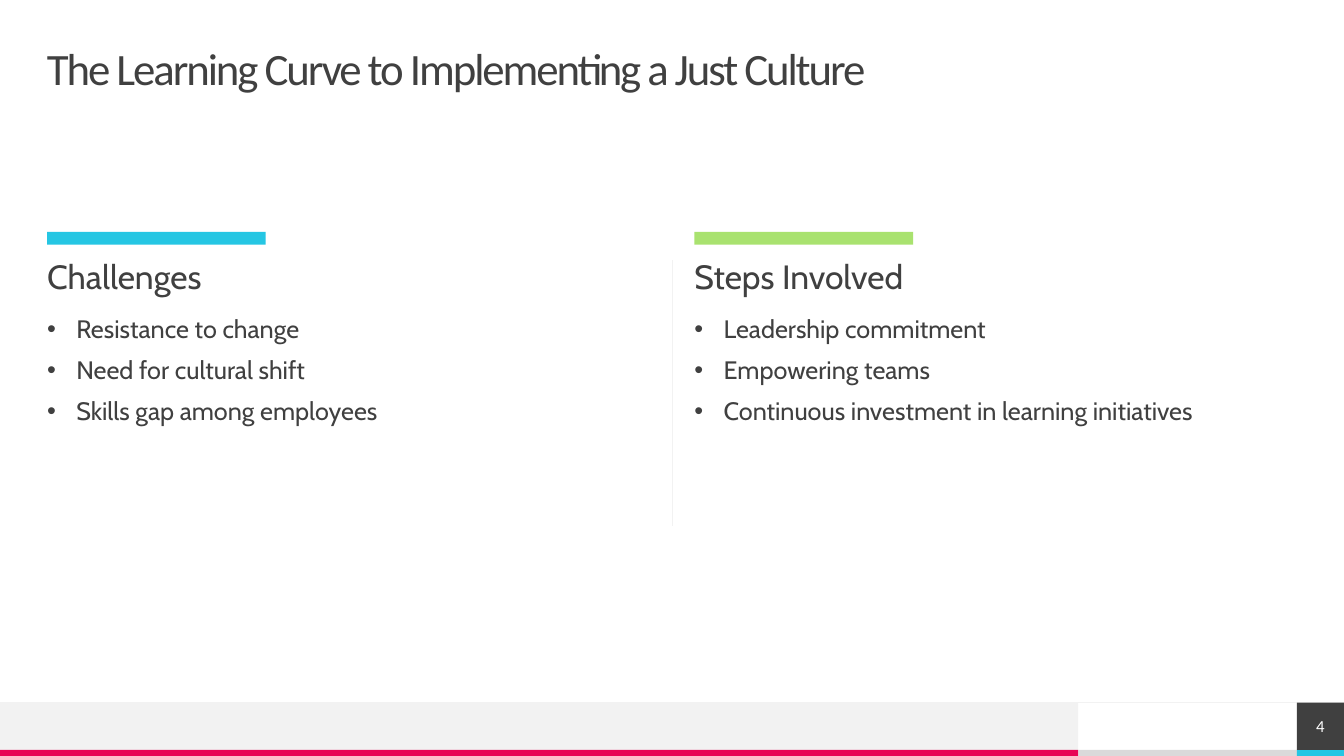
from dataclasses import dataclass
from lxml import etree
from pptx import Presentation
from pptx.dml.color import RGBColor
from pptx.enum.shapes import MSO_CONNECTOR, MSO_SHAPE
from pptx.enum.text import MSO_ANCHOR, PP_ALIGN
from pptx.oxml.ns import qn
from pptx.util import Inches, Pt

RECT = MSO_SHAPE.RECTANGLE
STRAIGHT = MSO_CONNECTOR.STRAIGHT
TOP, MIDDLE = MSO_ANCHOR.TOP, MSO_ANCHOR.MIDDLE
LEFT, CENTER = PP_ALIGN.LEFT, PP_ALIGN.CENTER


@dataclass(frozen=True)
class Theme:
    dark: str = "404040"
    white: str = "FFFFFF"
    pale: str = "F2F2F2"
    gray: str = "DADADA"
    pink: str = "E80554"
    blue: str = "25C6E3"
    green: str = "A9E26F"
    head: str = "Calibri"
    body: str = "Cabin"
    title: int = 32
    label: int = 24
    item: int = 18
    page: int = 12


# Shares of the slide's width and height, in percent
EDGE, HALF, BAR = 3.5, 44.83, 16.27
RIGHT = 100 - EDGE
SPLIT = RIGHT - BAR
FOOT, STRIP = 92.93, 99.2
HEAD, LABEL, LIST = 30.67, 34.4, 41.87


class Deck:
    def __init__(self, theme):
        self.theme = theme
        self.file = Presentation()
        self.file.slide_width = Inches(13.33)
        self.file.slide_height = Inches(7.5)
        self.slide = self.file.slides.add_slide(self.file.slide_layouts[6])
        fill = self.slide.background.fill
        fill.solid()
        fill.fore_color.rgb = RGBColor.from_string(theme.white)

    def place(self, x, y, w, h):
        """Turn shares of the slide into lengths."""
        wide, high = self.file.slide_width, self.file.slide_height
        return [round(part * full / 100) for part, full in
                ((x, wide), (y, high), (w, wide), (h, high))]

    def block(self, x, y, w, h, color):
        shape = self.slide.shapes.add_shape(RECT, *self.place(x, y, w, h))
        shape.shadow.inherit = False
        shape.fill.solid()
        shape.fill.fore_color.rgb = RGBColor.from_string(color)
        shape.line.fill.background()
        return shape

    def rule(self, x, y, w, h):
        left, top, wide, high = self.place(x, y, w, h)
        line = self.slide.shapes.add_connector(
            STRAIGHT, left, top, left + wide, top + high)
        line.line.color.rgb = RGBColor.from_string(self.theme.pale)
        line.line.width = Pt(0.5)
        etree.SubElement(line._element.spPr, qn("a:effectLst"))

    def text(self, x, y, w, h, lines, size, **look):
        box = self.slide.shapes.add_textbox(*self.place(x, y, w, h))
        self.letter(box, lines, size, **look)

    def letter(self, shape, lines, size, font=None, color=None, anchor=TOP,
               align=LEFT, lead=0.9, track=0, dots=False):
        """Fill a shape with one paragraph a line."""
        frame = shape.text_frame
        frame.word_wrap = True
        frame.vertical_anchor = anchor
        frame.margin_left = frame.margin_right = 0
        frame.margin_top = frame.margin_bottom = 0
        for i, line in enumerate(lines):
            para = frame.add_paragraph() if i else frame.paragraphs[0]
            para.alignment = align
            para.line_spacing = lead
            para.space_before = Pt(10 if i else 0)
            if dots:
                self.dot(para)
            run = para.add_run()
            run.text = line
            run.font.size = Pt(size)
            run.font.name = font or self.theme.body
            run.font.color.rgb = RGBColor.from_string(color or self.theme.dark)
            if track:
                run._r.get_or_add_rPr().set("spc", str(round(track * 100)))

    def dot(self, para):
        """Give a paragraph a bullet with a hanging indent."""
        props = para._p.get_or_add_pPr()
        props.set("marL", str(Inches(0.29)))
        props.set("indent", str(-Inches(0.29)))
        etree.SubElement(props, qn("a:buFont"), typeface="Arial")
        etree.SubElement(props, qn("a:buChar"), char="•")

    def footer(self, page):
        t = self.theme
        thin = 100 - STRIP
        self.block(SPLIT, STRIP, BAR, thin, t.gray)
        self.block(0, FOOT, SPLIT, STRIP - FOOT, t.pale)
        self.block(0, STRIP, SPLIT, thin, t.pink)
        self.block(RIGHT, STRIP, EDGE, thin, t.blue)
        self.rule(0, FOOT, 100, 0)
        tile = self.block(RIGHT, FOOT, EDGE, STRIP - FOOT, t.dark)
        self.letter(tile, [page], t.page, font=t.head, color=t.white,
                    anchor=MIDDLE, align=CENTER, lead=1.0)

    def column(self, x, color, label, items):
        t = self.theme
        self.block(x, HEAD, BAR, 1.7, color)
        self.text(x, LABEL, HALF, 5.2, [label], t.label)
        self.text(x, LIST, HALF, 49.2, items, t.item, dots=True)


def main():
    theme = Theme()
    deck = Deck(theme)
    deck.footer("4")
    deck.text(EDGE, 6.27, 100 - 2 * EDGE, 6.27,
              ["The Learning Curve to Implementing a Just Culture"],
              theme.title, font=theme.head, anchor=MIDDLE, track=-1.5)
    deck.column(EDGE, theme.blue, "Challenges", [
        "Resistance to change",
        "Need for cultural shift",
        "Skills gap among employees"])
    deck.rule(50, LABEL, 0, 35.2)
    deck.column(RIGHT - HALF, theme.green, "Steps Involved", [
        "Leadership commitment",
        "Empowering teams",
        "Continuous investment in learning initiatives"])
    deck.file.save("out.pptx")


if __name__ == "__main__":
    main()
